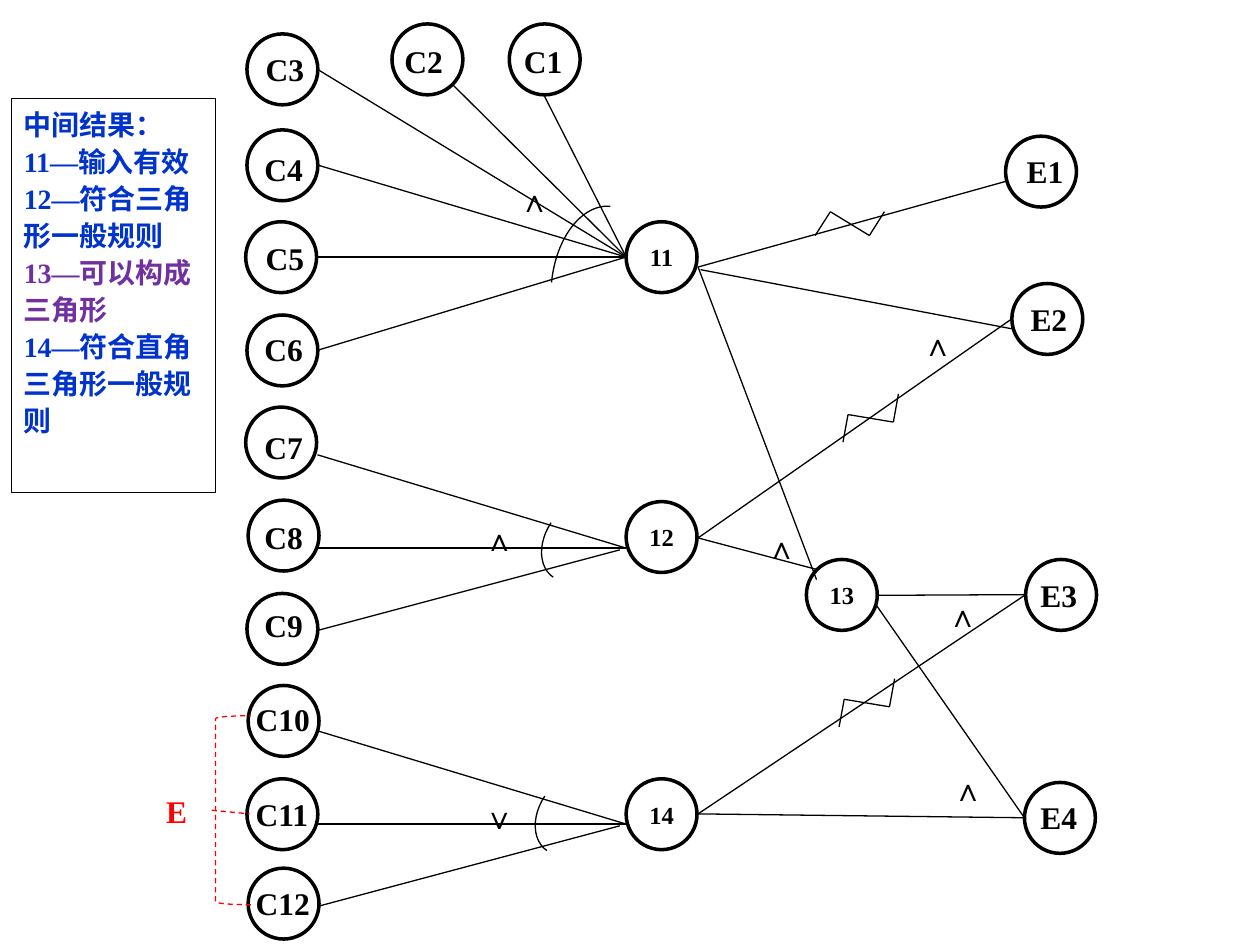
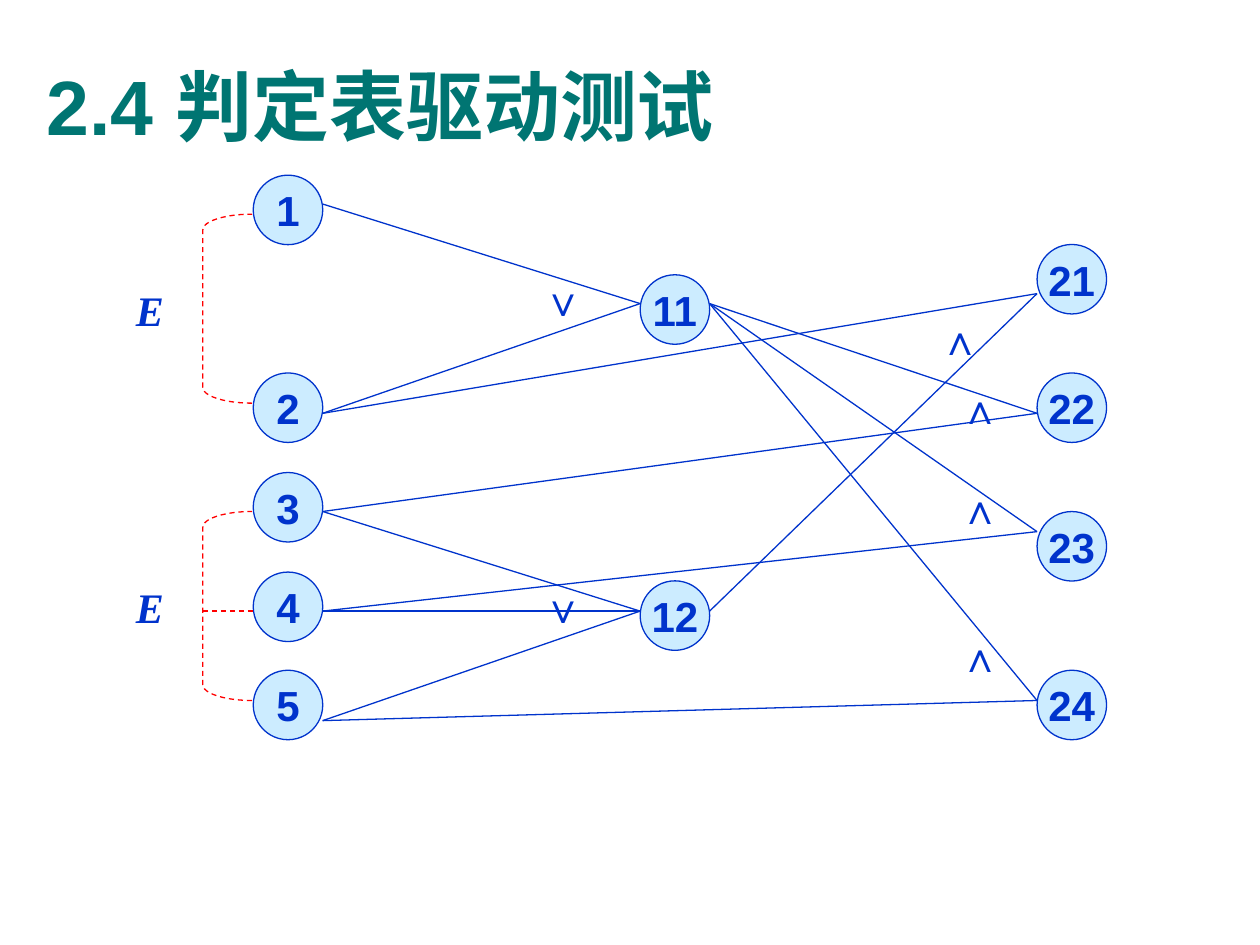
"""Build two cause-effect graph slides for decision table testing."""
from itertools import pairwise

from lxml.etree import SubElement
from pptx import Presentation
from pptx.dml.color import RGBColor
from pptx.enum.dml import MSO_LINE
from pptx.enum.shapes import MSO_CONNECTOR, MSO_SHAPE
from pptx.enum.text import MSO_ANCHOR, MSO_AUTO_SIZE, PP_ALIGN
from pptx.oxml.ns import qn
from pptx.util import Pt

BLACK, WHITE, RED = "000000", "FFFFFF", "FF0000"
BLUE, PURPLE, TEAL, PALE = "0033CC", "7030A0", "007572", "CCECFF"
SERIF, SANS = "Times New Roman", "Arial"
AND, OR = "∧", "∨"


def color(value):
    return RGBColor.from_string(value)


class GraphSlide:
    def __init__(self, presentation, layout, ink, node_size, node_line, node_fill=None):
        self.slide = presentation.slides.add_slide(presentation.slide_layouts[layout])
        self.ink, self.node_size = ink, node_size
        self.node_line, self.node_fill = node_line, node_fill

    def format_line(self, line, ink, width=0.75, dashed=False):
        line.color.rgb = color(ink)
        line.width = Pt(width)
        if dashed:
            line.dash_style = MSO_LINE.DASH

    def format_text(self, paragraph, size, font=SERIF, ink=None, italic=None):
        paragraph.font.size = Pt(size)
        paragraph.font.name = font
        paragraph.font.bold = True
        paragraph.font.italic = italic
        paragraph.font.color.rgb = color(ink or self.ink)

    def title(self, text, left, top, width, height):
        shape = self.slide.shapes.title
        shape.left, shape.top, shape.width, shape.height = map(Pt, (left, top, width, height))
        frame = shape.text_frame
        frame.text = text
        frame.auto_size = MSO_AUTO_SIZE.NONE
        frame.vertical_anchor = MSO_ANCHOR.MIDDLE
        frame.paragraphs[0].alignment = PP_ALIGN.LEFT
        self.format_text(frame.paragraphs[0], 44, SANS, TEAL)

    def shape(self, kind, left, top, width, height, ink=None, line=0.75, fill=None, dashed=False):
        shape = self.slide.shapes.add_shape(kind, *map(Pt, (left, top, width, height)))
        shape.shadow.inherit = False
        if fill:
            shape.fill.solid()
            shape.fill.fore_color.rgb = color(fill)
        else:
            shape.fill.background()
        self.format_line(shape.line, ink or self.ink, line, dashed)
        return shape

    def node(self, left, top, text="", size=24, font=SANS):
        shape = self.shape(MSO_SHAPE.OVAL, left, top, self.node_size, self.node_size,
                           line=self.node_line, fill=self.node_fill)
        if text:
            self.center(shape.text_frame, text)
            self.format_text(shape.text_frame.paragraphs[0], size, font)

    def center(self, frame, text):
        frame.text = text
        frame.word_wrap = False
        frame.vertical_anchor = MSO_ANCHOR.MIDDLE
        frame.paragraphs[0].alignment = PP_ALIGN.CENTER

    def label(self, text, left, top, width=30.2, ink=None):
        box = self.slide.shapes.add_textbox(*map(Pt, (left, top, width, 28.8)))
        box.text_frame.text = text
        box.text_frame.word_wrap = True
        box.text_frame.auto_size = MSO_AUTO_SIZE.SHAPE_TO_FIT_TEXT
        self.format_text(box.text_frame.paragraphs[0], 18, ink=ink)

    def symbol(self, text, left, top, font=SANS, italic=None):
        box = self.slide.shapes.add_textbox(*map(Pt, (left, top, 28.3, 28.3)))
        self.center(box.text_frame, text)
        self.format_text(box.text_frame.paragraphs[0], 24, font, italic=italic)

    def lines(self, *points, ink=None, dashed=False):
        for start, end in pairwise(points):
            connector = self.slide.shapes.add_connector(
                MSO_CONNECTOR.STRAIGHT, *map(Pt, (*start, *end)))
            self.format_line(connector.line, ink or self.ink, dashed=dashed)
            SubElement(connector.element.spPr, qn("a:effectLst"))

    def arc(self, left, top, width, height, rotation):
        self.shape(MSO_SHAPE.ARC, left, top, width, height).rotation = rotation

    def bracket(self, left, top, width, curve=None):
        shape = self.shape(MSO_SHAPE.LEFT_BRACKET, left, top, width, 108, RED, dashed=True)
        if curve:
            shape.adjustments[0] = curve

    def panel(self, entries, left, top, width, height):
        shape = self.shape(MSO_SHAPE.RECTANGLE, left, top, width, height, fill=WHITE)
        frame = shape.text_frame
        frame.word_wrap = True
        frame.vertical_anchor = MSO_ANCHOR.TOP
        frame.text = "\n".join(text for text, ink in entries)
        for paragraph, (text, ink) in zip(frame.paragraphs, entries):
            paragraph.alignment = PP_ALIGN.LEFT
            paragraph.line_spacing = 1.1
            self.format_text(paragraph, 16, ink=ink)


def build_triangle_graph(presentation):
    graph = GraphSlide(presentation, 6, BLACK, 40.5, 2)
    outer_nodes = [
        ("C1", 291, 13.7, 292.3, 20.2), ("C2", 224, 13.7, 224, 20.2),
        ("C3", 141.1, 19.4, 144.7, 25.2), ("C4", 141.1, 74.2, 144, 82.1),
        ("C5", 140.4, 126.7, 144.7, 133.2), ("C6", 141.1, 180, 144, 185),
        ("C7", 140.4, 232.6, 144, 241.2), ("C8", 141.8, 285.8, 144, 292.3),
        ("C9", 141.1, 339.1, 144, 342.7), ("C10", 141.8, 391.7, 139, 396.7),
        ("C11", 141.1, 445, 139, 450.7), ("C12", 141.8, 496.1, 139, 501.8),
        ("E1", 574.6, 77.8, 579.6, 83.5), ("E2", 578.2, 162, 581.8, 167.8),
        ("E3", 586.1, 319.7, 587.5, 325.4), ("E4", 585.4, 447.1, 587.5, 452.2),
    ]
    for text, left, top, label_left, label_top in outer_nodes:
        graph.node(left, top)
        graph.label(text, label_left, label_top, 50.4)
    for text, left, top in [("11", 357.8, 126.7), ("12", 357.8, 286.6),
                            ("13", 460.8, 319.7), ("14", 357.8, 445)]:
        graph.node(left, top, text, 14, SERIF)

    for start in [(311, 54.7), (258.5, 48.2), (181.4, 39.6),
                  (181.4, 94.3), (180.7, 146.9), (181.4, 200.2)]:
        graph.lines(start, (357.8, 146.9))
    for hub in (313.2, 470.9):
        graph.lines((181.4, hub - 53.3), (357.8, hub))
        graph.lines((180.7, hub), (357.8, hub))
        graph.lines((181.4, hub + 47.1), (354.2, hub + 1))

    exit_11, exit_12, exit_14 = [(398.9, top) for top in (152.6, 307.4, 465.1)]
    entry_3, entry_4 = (586.1, 339.8), (585.4, 467.3)
    for start, end in [
        (exit_11, (574.6, 103.7)), ((400.3, 154.1), (578.2, 187.9)),
        (exit_11, (466.6, 331.2)), (exit_12, (578.2, 182.2)),
        (exit_12, (466.6, 325.4)), ((501.8, 340.2), entry_3),
        ((501.1, 346.3), entry_4), (exit_14, entry_3), (exit_14, entry_4),
    ]:
        graph.lines(start, end)

    graph.lines((465.8, 134.6), (474.5, 121), (496.8, 134.6), (505.4, 121))
    for left, top in [(481.7, 252.7), (479.5, 415.4)]:
        graph.lines((left, top), (left + 2.9, top - 15.8),
                    (left + 28.8, top - 11.5), (left + 31.7, top - 27.6))

    graph.arc(298.1, 134.6, 92.9, 59, 275.3)
    graph.arc(311.8, 283.7, 36.7, 50.4, 213.8)
    graph.arc(308.2, 439.9, 36.7, 50.4, 213.8)
    for text, left, top in [
        (AND, 289.4, 100.1), (AND, 269.3, 293.8), (AND, 519.8, 182.2), (AND, 430.6, 298.1),
        (AND, 534.2, 337), (AND, 537.1, 436.3), (OR, 269.3, 452.2),
    ]:
        graph.label(text, left, top)

    graph.bracket(123.1, 409, 20.2)
    graph.lines((121, 463), (142.6, 465.1), ink=RED, dashed=True)
    graph.label("E", 87.8, 449.3, ink=RED)
    graph.panel([
        ("中间结果：", BLUE), ("11—输入有效", BLUE), ("12—符合三角形一般规则", BLUE),
        ("13—可以构成三角形", PURPLE), ("14—符合直角三角形一般规则", BLUE),
    ], 6.5, 56.2, 116.6, 225.4)


def build_decision_graph(presentation):
    graph = GraphSlide(presentation, 5, BLUE, 39.7, 0.75, PALE)
    graph.title("2.4 判定表驱动测试", 19.4, 15.1, 672.5, 90)
    columns = [
        (144.7, {1: (100.1, 116.6), 2: (213.1, 236.2), 3: (270, 292.3),
                 4: (326.9, 349.2), 5: (383, 411.8)}),
        (365.8, {11: (157, 173.5), 12: (331.9, 349.2)}),
        (592.6, {21: (139.7, 167.8), 22: (213.1, 236.2),
                 23: (292.3, 303.8), 24: (383, 400.3)}),
    ]
    ports = {}
    for left, nodes in columns:
        for number, (top, port) in nodes.items():
            graph.node(left, top, str(number))
            ports[number] = (left, port)
    for start, end in [(1, 11), (2, 11), (3, 12), (4, 12), (5, 12), (11, 22), (11, 23),
                       (11, 24), (12, 21), (2, 21), (3, 22), (4, 23), (5, 24)]:
        left, top = ports[start]
        graph.lines((left + graph.node_size, top), ports[end])

    graph.symbol(OR, 303.1, 157)
    graph.symbol(OR, 303.1, 332.6, SERIF)
    for left, top in [(529.9, 179.3), (541.4, 218.9), (541.4, 275.8), (541.4, 360.7)]:
        graph.symbol(AND, left, top)
    for bracket_top in (122.4, 292.3):
        graph.bracket(115.9, bracket_top, 28.1, 0.318)
        graph.symbol("E", 70.6, bracket_top + 40.3, SERIF, True)
    graph.lines((115.9, 349.2), (144.7, 349.2), ink=RED, dashed=True)


presentation = Presentation()
presentation.slide_width, presentation.slide_height = Pt(720), Pt(540)
build_triangle_graph(presentation)
build_decision_graph(presentation)
presentation.save("out.pptx")
